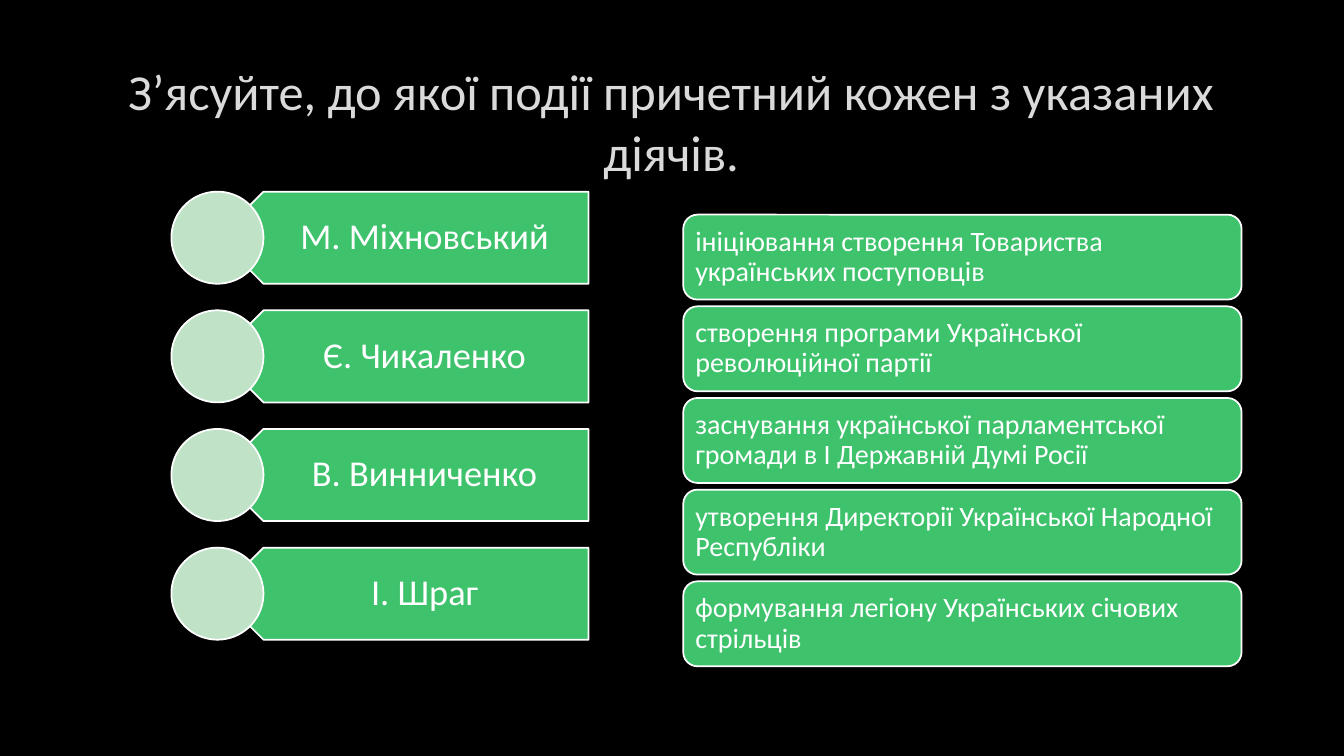
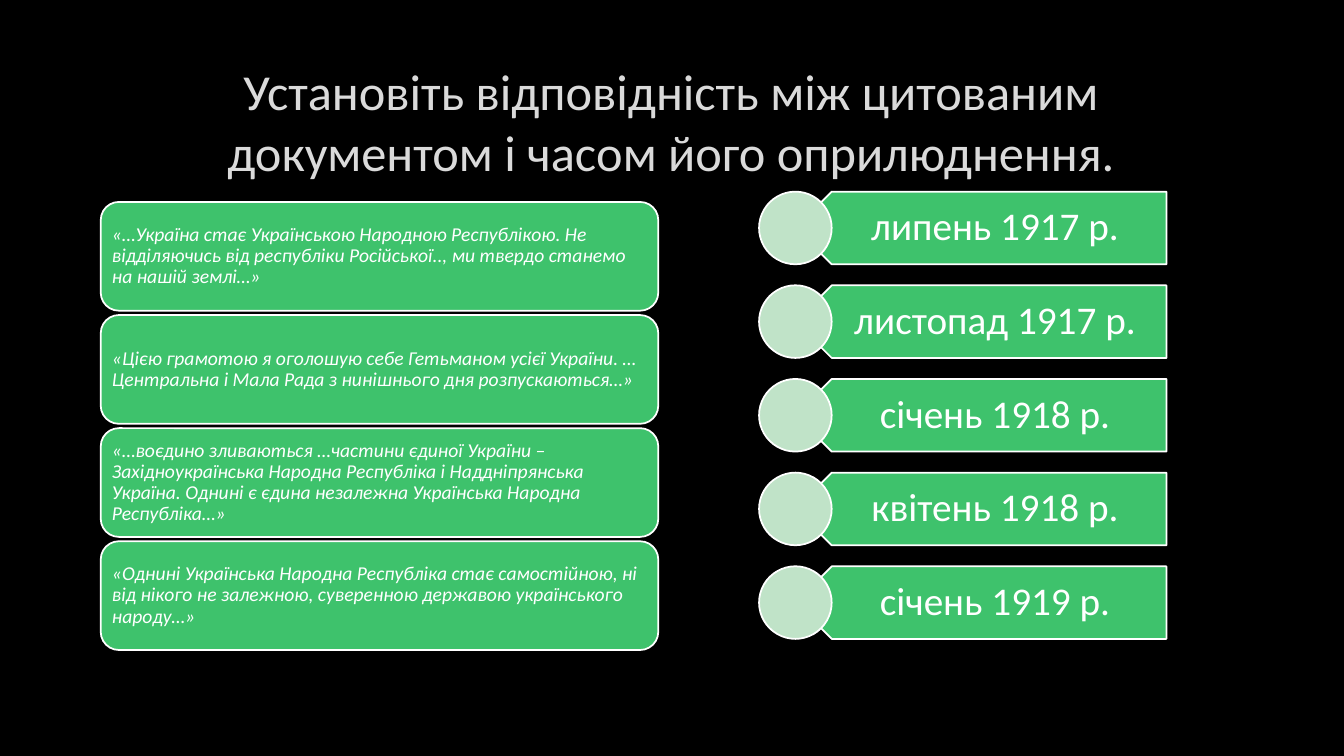
from dataclasses import dataclass

from pptx import Presentation
from pptx.dml.color import RGBColor
from pptx.enum.shapes import MSO_SHAPE
from pptx.enum.text import MSO_ANCHOR, MSO_AUTO_SIZE, PP_ALIGN
from pptx.presentation import Presentation as Deck
from pptx.shapes.autoshape import Shape
from pptx.shapes.group import GroupShape
from pptx.slide import Slide
from pptx.util import Cm, Pt

COLOURS = {
    "background": "000000",
    "title": "DADADA",
    "panel": "3EC26C",
    "circle": "C0E3C8",
    "white": "FFFFFF",
}
FONT = "Calibri"
TITLE_ONLY = 5
PLATE_WIDTH = 9.35


@dataclass(frozen=True)
class TextStyle:
    size: int
    colour: str = "white"
    align: PP_ALIGN = PP_ALIGN.LEFT
    italic: bool = False
    line_spacing: float = 0.9


@dataclass(frozen=True)
class Column:
    left: float
    top: float
    height: float
    pitch: float
    insets: tuple[float, float, float, float]
    style: TextStyle
    items: tuple[str, ...]

    def row_tops(self) -> list[float]:
        return [self.top + index * self.pitch for index in range(len(self.items))]


@dataclass(frozen=True)
class CardColumn(Column):
    width: float


@dataclass(frozen=True)
class PageContent:
    title: str
    plates: Column
    cards: CardColumn


TITLE_STYLE = TextStyle(36, "title", PP_ALIGN.CENTER, line_spacing=1.0)

PAGES = (
    PageContent(
        title="З’ясуйте, до якої події причетний кожен з указаних діячів.",
        plates=Column(
            left=4.32, top=4.83, height=2.32, pitch=2.99,
            insets=(1.02, 0.28, 0.5, 0.28),
            style=TextStyle(26, align=PP_ALIGN.CENTER),
            items=("М. Міхновський", "Є. Чикаленко", "В. Винниченко", "І. Шраг"),
        ),
        cards=CardColumn(
            left=17.22, top=5.41, width=14.07, height=2.14, pitch=2.31,
            insets=(0.2, 0.2, 0.2, 0.2),
            style=TextStyle(20),
            items=(
                "ініціювання створення Товариства українських поступовців",
                "створення програми Української революційної партії",
                "заснування української парламентської громади в I Державній Думі Росії",
                "утворення Директорії Української Народної Республіки",
                "формування легіону Українських січових стрільців",
            ),
        ),
    ),
    PageContent(
        title="Установіть відповідність між цитованим документом і часом його оприлюднення.",
        plates=Column(
            left=19.13, top=4.83, height=1.83, pitch=2.36,
            insets=(0.81, 0.3, 0.56, 0.3),
            style=TextStyle(28, align=PP_ALIGN.CENTER),
            items=(
                "липень 1917 р.",
                "листопад 1917 р.",
                "січень 1918 р.",
                "квітень 1918 р.",
                "січень 1919 р.",
            ),
        ),
        cards=CardColumn(
            left=2.54, top=5.09, width=14.05, height=2.74, pitch=2.85,
            insets=(0.15, 0.15, 0.15, 0.15),
            style=TextStyle(14, italic=True),
            items=(
                "«…Україна стає Українською Народною Республікою. Не відділяючись від "
                "республіки Російської.., ми твердо станемо на нашій землі…»",
                "«Цією грамотою я оголошую себе Гетьманом усієї України. …Центральна і "
                "Мала Рада з нинішнього дня розпускаються…»",
                "«…воєдино зливаються …частини єдиної України – Західноукраїнська "
                "Народна Республіка і Наддніпрянська Україна. Однині є єдина незалежна "
                "Українська Народна Республіка…»",
                "«Однині Українська Народна Республіка стає самостійною, ні від нікого "
                "не залежною, суверенною державою українського народу…»",
            ),
        ),
    ),
)


def colour(name: str) -> RGBColor:
    return RGBColor.from_string(COLOURS[name])


def write_text(box: Shape, text: str, style: TextStyle) -> None:
    frame = box.text_frame
    frame.text = text
    frame.word_wrap = True
    frame.auto_size = MSO_AUTO_SIZE.NONE
    frame.vertical_anchor = MSO_ANCHOR.MIDDLE
    para = frame.paragraphs[0]
    para.alignment = style.align
    para.line_spacing = style.line_spacing
    for span in para.runs:
        span.font.name = FONT
        span.font.size = Pt(style.size)
        span.font.italic = style.italic
        span.font.color.rgb = colour(style.colour)


def set_insets(box: Shape, insets: tuple[float, float, float, float]) -> None:
    frame = box.text_frame
    frame.margin_left, frame.margin_top, frame.margin_right, frame.margin_bottom = map(Cm, insets)


def add_panel(group: GroupShape, kind: MSO_SHAPE, left: float, top: float,
              width: float, height: float, fill: str) -> Shape:
    panel = group.shapes.add_shape(kind, Cm(left), Cm(top), Cm(width), Cm(height))
    panel.shadow.inherit = False
    panel.fill.solid()
    panel.fill.fore_color.rgb = colour(fill)
    panel.line.color.rgb = colour("white")
    panel.line.width = Pt(1.25)
    return panel


def add_plates(page: Slide, column: Column) -> None:
    group = page.shapes.add_group_shape()
    height = column.height
    plate_left = column.left + height / 2
    point_depth = height / 4
    for top, text in zip(column.row_tops(), column.items):
        plate = add_panel(group, MSO_SHAPE.PENTAGON, plate_left, top, PLATE_WIDTH, height, "panel")
        plate.rotation = 180
        label = group.shapes.add_textbox(
            Cm(plate_left + point_depth), Cm(top), Cm(PLATE_WIDTH - point_depth), Cm(height))
        set_insets(label, column.insets)
        write_text(label, text, column.style)
        add_panel(group, MSO_SHAPE.OVAL, column.left, top, height, height, "circle")


def add_cards(page: Slide, column: CardColumn) -> None:
    group = page.shapes.add_group_shape()
    for top, text in zip(column.row_tops(), column.items):
        card = add_panel(group, MSO_SHAPE.ROUNDED_RECTANGLE, column.left, top,
                         column.width, column.height, "panel")
        set_insets(card, column.insets)
        write_text(card, text, column.style)


def add_page(deck: Deck, content: PageContent) -> None:
    page = deck.slides.add_slide(deck.slide_layouts[TITLE_ONLY])
    title = page.shapes.title
    title.left, title.top, title.width, title.height = Cm(2.54), Cm(1.7), Cm(28.75), Cm(2.69)
    write_text(title, content.title, TITLE_STYLE)
    add_plates(page, content.plates)
    add_cards(page, content.cards)


def main() -> None:
    deck = Presentation()
    deck.slide_width, deck.slide_height = Cm(33.87), Cm(19.05)
    backdrop = deck.slide_master.background.fill
    backdrop.solid()
    backdrop.fore_color.rgb = colour("background")
    for content in PAGES:
        add_page(deck, content)
    deck.save("out.pptx")


if __name__ == "__main__":
    main()
